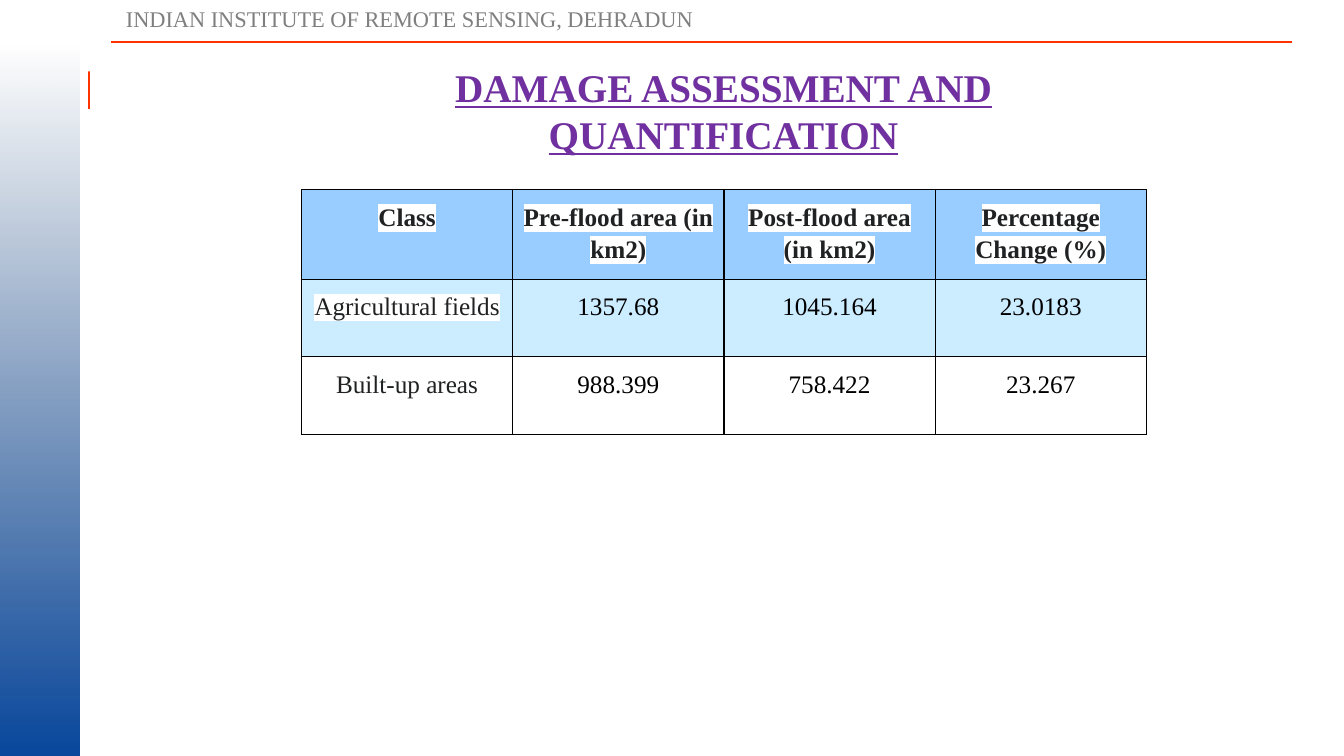
from lxml.etree import SubElement
from pptx import Presentation
from pptx.dml.color import RGBColor
from pptx.enum.shapes import MSO_SHAPE
from pptx.enum.text import MSO_ANCHOR, PP_ALIGN
from pptx.oxml import parse_xml
from pptx.oxml.ns import nsdecls, qn
from pptx.util import Inches, Pt

WHITE = RGBColor(0xFF, 0xFF, 0xFF)
BLACK = RGBColor(0x00, 0x00, 0x00)
RED = RGBColor(0xFF, 0x33, 0x00)
BLUE = RGBColor(0x08, 0x47, 0x9C)
NAVY = RGBColor(0x05, 0x32, 0x6D)
GREY = RGBColor(0x7F, 0x7F, 0x7F)
PURPLE = RGBColor(0x70, 0x30, 0xA0)
INK = RGBColor(0x20, 0x21, 0x22)
HEADER_FILL = RGBColor(0x99, 0xCC, 0xFF)
BAND_FILL = RGBColor(0xCC, 0xEC, 0xFF)
FONT = "Times New Roman"


def style(p, size, color, bold=False):
    font = p.runs[0].font
    font.name = FONT
    font.size = Pt(size)
    font.bold = bold
    font.color.rgb = color
    return font


prs = Presentation()
prs.slide_width = Inches(13.33)
prs.slide_height = Inches(7.5)
s = prs.slides.add_slide(prs.slide_layouts[5])

fb = s.shapes.build_freeform(Inches(0.88), Inches(1.08), scale=1.0)
fb.add_line_segments([(Inches(0.88), Inches(0.42)), (Inches(12.81), Inches(0.42))], close=False)
rule = fb.convert_to_shape()
rule.shadow.inherit = False
rule.fill.background()
rule.line.color.rgb = RED
rule.line.width = Pt(1.5)

side = s.shapes.add_shape(MSO_SHAPE.RECTANGLE, 0, Inches(0.42), Inches(0.79), Inches(7.08))
side.shadow.inherit = False
side.line.fill.background()
side.fill.gradient()
side.fill.gradient_angle = 90
for stop, color in zip(side.fill.gradient_stops, (BLUE, NAVY)):
    stop.color.rgb = color
fade = side._element.xpath(".//a:gs/a:srgbClr")[-1]
SubElement(fade, qn("a:alpha"), val="0")

header = s.shapes.add_textbox(Inches(1.15), 0, Inches(7.85), Inches(0.37))
tf = header.text_frame
tf.word_wrap = True
tf.text = "INDIAN INSTITUTE OF REMOTE SENSING, DEHRADUN"
style(tf.paragraphs[0], 16, GREY)

gap = s.shapes.add_shape(MSO_SHAPE.RECTANGLE, Inches(0.83), Inches(0.31), Inches(0.27), Inches(0.4))
gap.shadow.inherit = False
gap.fill.solid()
gap.fill.fore_color.rgb = WHITE
gap.line.fill.background()

title = s.shapes.title
title.left, title.top = Inches(3.31), Inches(0.58)
title.width, title.height = Inches(7.73), Inches(1.04)
tf = title.text_frame
tf.text = "DAMAGE ASSESSMENT AND QUANTIFICATION"
tf.word_wrap = True
tf.vertical_anchor = MSO_ANCHOR.TOP
p = tf.paragraphs[0]
p.alignment = PP_ALIGN.CENTER
style(p, 28, PURPLE, True).underline = True

rows = [
    ("Class", "Pre-flood area (in km2)", "Post-flood area (in km2)", "Percentage Change (%)"),
    ("Agricultural fields", "1357.68", "1045.164", "23.0183"),
    ("Built-up areas", "988.399", "758.422", "23.267"),
]
fills = (HEADER_FILL, BAND_FILL, None)
heights = (0.89, 0.77, 0.77)

table = s.shapes.add_table(3, 4, Inches(2.99), Inches(1.88), Inches(8.38), Inches(2.43)).table
for row, height in zip(table.rows, heights):
    row.height = Inches(height)

for i, (texts, fill) in enumerate(zip(rows, fills)):
    for j, text in enumerate(texts):
        cell = table.cell(i, j)
        cell.margin_left = cell.margin_right = Inches(0.07)
        cell.margin_top = cell.margin_bottom = Inches(0.1)
        if fill is None:
            cell.fill.background()
        else:
            cell.fill.solid()
            cell.fill.fore_color.rgb = fill
        cell.text = text
        p = cell.text_frame.paragraphs[0]
        p.alignment = PP_ALIGN.CENTER
        p.line_spacing = 1.15
        label = i == 0 or j == 0
        style(p, 18, INK if label else BLACK, i == 0)
        if label:
            rPr = p.runs[0]._r.get_or_add_rPr()
            rPr.find(qn("a:solidFill")).addnext(parse_xml(
                f'<a:highlight {nsdecls("a")}><a:srgbClr val="{WHITE}"/></a:highlight>'))
        tcPr = cell._tc.get_or_add_tcPr()
        for k, edge in enumerate("LRTB"):
            tcPr.insert(k, parse_xml(
                f'<a:ln{edge} {nsdecls("a")} w="{Pt(1)}"><a:solidFill>'
                f'<a:srgbClr val="{BLACK}"/></a:solidFill></a:ln{edge}>'))

prs.save("out.pptx")
